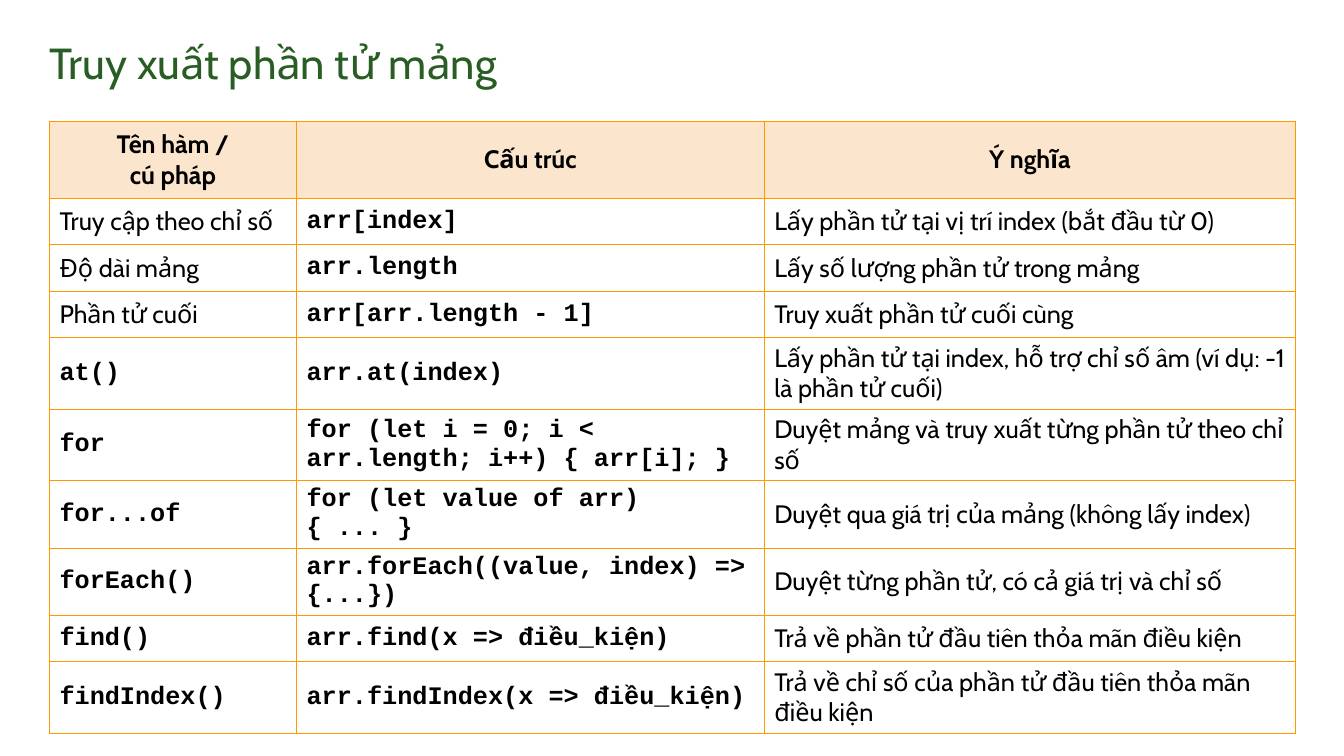
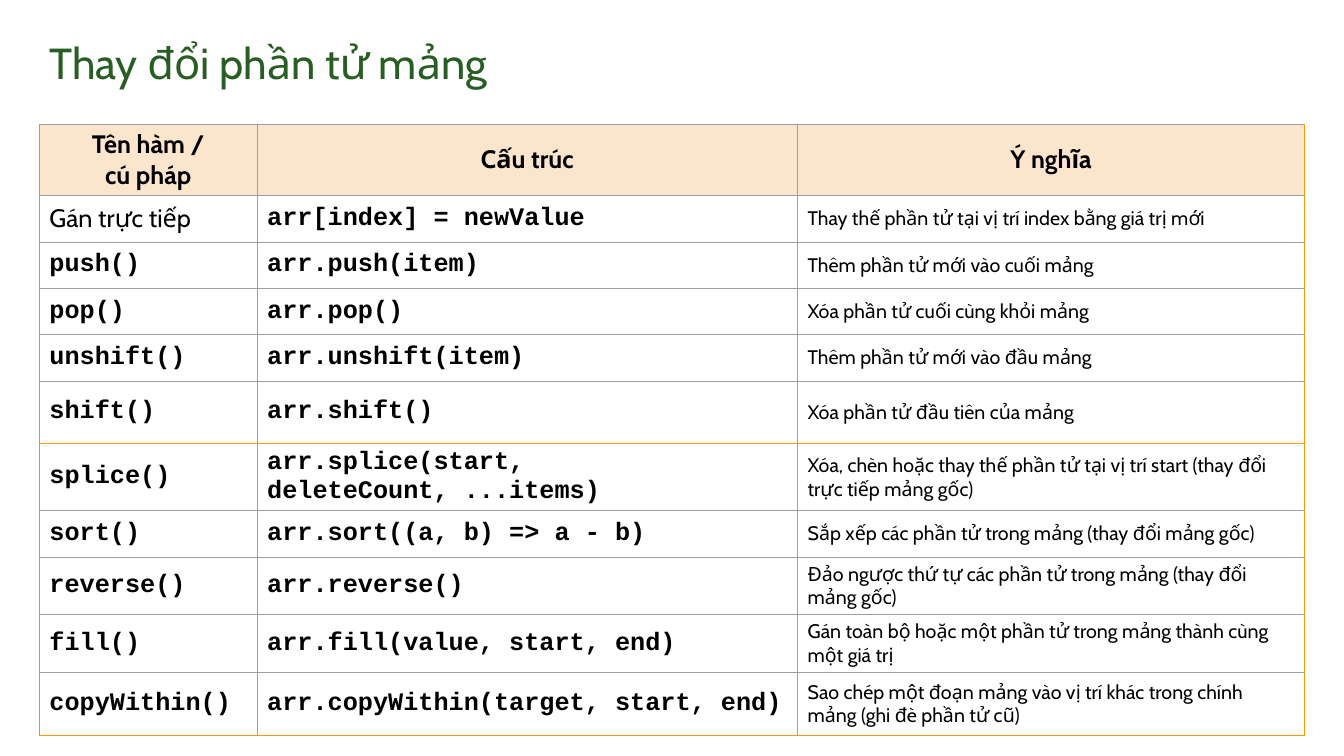
from dataclasses import dataclass

from pptx import Presentation
from pptx.dml.color import RGBColor
from pptx.enum.text import MSO_ANCHOR, MSO_AUTO_SIZE, PP_ALIGN
from pptx.oxml import parse_xml
from pptx.oxml.ns import nsdecls
from pptx.util import Inches, Pt


@dataclass(frozen=True)
class Theme:
    title_color: str = "285D23"
    text_color: str = "000000"
    header_fill: str = "FCE5CD"
    body_fill: str = "FFFFFF"
    orange: str = "FF9900"
    gray: str = "9E9E9E"
    text_font: str = "Cabin"
    code_font: str = "Courier New"
    title_size: int = 31
    text_size: int = 18
    small_size: int = 14
    border_width: float = 0.75


theme = Theme()
HEADER = ("Tên hàm /\vcú pháp", "Cấu trúc", "Ý nghĩa")
ONE_LINE, TWO_LINES, TALL = 0.46, 0.62, 0.77

lessons = [
    {
        "title": "Truy xuất phần tử mảng",
        "corner": (0.49, 1.2),
        "columns": (2.45, 4.64, 5.27),
        "heights": [TALL] + [ONE_LINE] * 4 + [TWO_LINES] * 2 + [ONE_LINE] * 3,
        "meaning_size": theme.text_size,
        "grid_color": theme.orange,
        "orange_below": (),
        "rows": [
            ("Truy cập theo chỉ số", "arr[index]", "Lấy phần tử tại vị trí index (bắt đầu từ 0)"),
            ("Độ dài mảng", "arr.length", "Lấy số lượng phần tử trong mảng"),
            ("Phần tử cuối", "arr[arr.length - 1]", "Truy xuất phần tử cuối cùng"),
            ("at()", "arr.at(index)",
             "Lấy phần tử tại index, hỗ trợ chỉ số âm (ví dụ: -1 là phần tử cuối)"),
            ("for", "for (let i = 0; i < arr.length; i++) { arr[i]; }",
             "Duyệt mảng và truy xuất từng phần tử theo chỉ số"),
            ("for...of", "for (let value of arr) { ... }",
             "Duyệt qua giá trị của mảng (không lấy index)"),
            ("forEach()", "arr.forEach((value, index) => {...})",
             "Duyệt từng phần tử, có cả giá trị và chỉ số"),
            ("find()", "arr.find(x => điều_kiện)", "Trả về phần tử đầu tiên thỏa mãn điều kiện"),
            ("findIndex()", "arr.findIndex(x => điều_kiện)",
             "Trả về chỉ số của phần tử đầu tiên thỏa mãn điều kiện"),
        ],
    },
    {
        "title": "Thay đổi phần tử mảng",
        "corner": (0.39, 1.23),
        "columns": (2.16, 5.36, 5.03),
        "heights": [ONE_LINE] * 5 + [TWO_LINES] * 2 + [ONE_LINE] * 3 + [TWO_LINES],
        "meaning_size": theme.small_size,
        "grid_color": theme.gray,
        "orange_below": (5, 10),
        "rows": [
            ("Gán trực tiếp", "arr[index] = newValue",
             "Thay thế phần tử tại vị trí index bằng giá trị mới"),
            ("push()", "arr.push(item)", "Thêm phần tử mới vào cuối mảng"),
            ("pop()", "arr.pop()", "Xóa phần tử cuối cùng khỏi mảng"),
            ("unshift()", "arr.unshift(item)", "Thêm phần tử mới vào đầu mảng"),
            ("shift()", "arr.shift()", "Xóa phần tử đầu tiên của mảng"),
            ("splice()", "arr.splice(start, deleteCount, ...items)",
             "Xóa, chèn hoặc thay thế phần tử tại vị trí start (thay đổi trực tiếp mảng gốc)"),
            ("sort()", "arr.sort((a, b) => a - b)",
             "Sắp xếp các phần tử trong mảng (thay đổi mảng gốc)"),
            ("reverse()", "arr.reverse()",
             "Đảo ngược thứ tự các phần tử trong mảng (thay đổi mảng gốc)"),
            ("fill()", "arr.fill(value, start, end)",
             "Gán toàn bộ hoặc một phần tử trong mảng thành cùng một giá trị"),
            ("copyWithin()", "arr.copyWithin(target, start, end)",
             "Sao chép một đoạn mảng vào vị trí khác trong chính mảng (ghi đè phần tử cũ)"),
        ],
    },
]


def format_text(frame, color, align, **font_values):
    for para in frame.paragraphs:
        para.alignment = align
        for span in para.runs:
            span.font.color.rgb = RGBColor.from_string(color)
            for name, value in font_values.items():
                setattr(span.font, name, value)


def set_borders(cell, colors):
    """Draw the cell's sides; colors maps L, R, T and B, in that order."""
    properties = cell._tc.get_or_add_tcPr()
    for position, (side, color) in enumerate(colors.items()):
        properties.insert(position, parse_xml(
            f'<a:ln{side} {nsdecls("a")} w="{Pt(theme.border_width)}">'
            f'<a:solidFill><a:srgbClr val="{color}"/></a:solidFill></a:ln{side}>'))


deck = Presentation()
deck.slide_width, deck.slide_height = Inches(13.33), Inches(7.5)

for lesson in lessons:
    page = deck.slides.add_slide(deck.slide_layouts[5])

    title = page.shapes.title
    title_place = {"left": 0.44, "top": 0.28, "width": 12, "height": 0.67}
    for name, value in title_place.items():
        setattr(title, name, Inches(value))
    frame = title.text_frame
    frame.text = lesson["title"]
    frame.auto_size = MSO_AUTO_SIZE.NONE
    frame.vertical_anchor = MSO_ANCHOR.MIDDLE
    for side in ("left", "right", "top", "bottom"):
        setattr(frame, f"margin_{side}", Inches(0.05))
    format_text(frame, theme.title_color, PP_ALIGN.LEFT,
                name=theme.text_font, size=Pt(theme.title_size))

    columns, heights = lesson["columns"], lesson["heights"]
    left, top = lesson["corner"]
    table = page.shapes.add_table(
        len(heights), len(columns), Inches(left), Inches(top),
        Inches(sum(columns)), Inches(sum(heights))).table
    table.first_row = table.horz_banding = False
    for column, width in zip(table.columns, columns):
        column.width = Inches(width)
    for row, height in zip(table.rows, heights):
        row.height = Inches(height)

    grid_color = lesson["grid_color"]
    for r, texts in enumerate([HEADER] + lesson["rows"]):
        for c, text in enumerate(texts):
            cell = table.cell(r, c)
            is_header = r == 0
            is_code = not is_header and (c == 1 or c == 0 and text.isascii())
            is_meaning = not is_header and c == 2
            cell.text = text
            cell.vertical_anchor = MSO_ANCHOR.MIDDLE
            cell.fill.solid()
            cell.fill.fore_color.rgb = RGBColor.from_string(
                theme.header_fill if is_header else theme.body_fill)
            format_text(
                cell.text_frame, theme.text_color,
                PP_ALIGN.CENTER if is_header else PP_ALIGN.LEFT,
                name=theme.code_font if is_code else theme.text_font,
                size=Pt(lesson["meaning_size"] if is_meaning else theme.text_size),
                bold=is_header or is_code)
            set_borders(cell, {
                "L": grid_color,
                "R": theme.orange if c == len(columns) - 1 else grid_color,
                "T": theme.orange if r - 1 in lesson["orange_below"] else grid_color,
                "B": theme.orange if r in lesson["orange_below"] else grid_color,
            })

deck.save("out.pptx")
